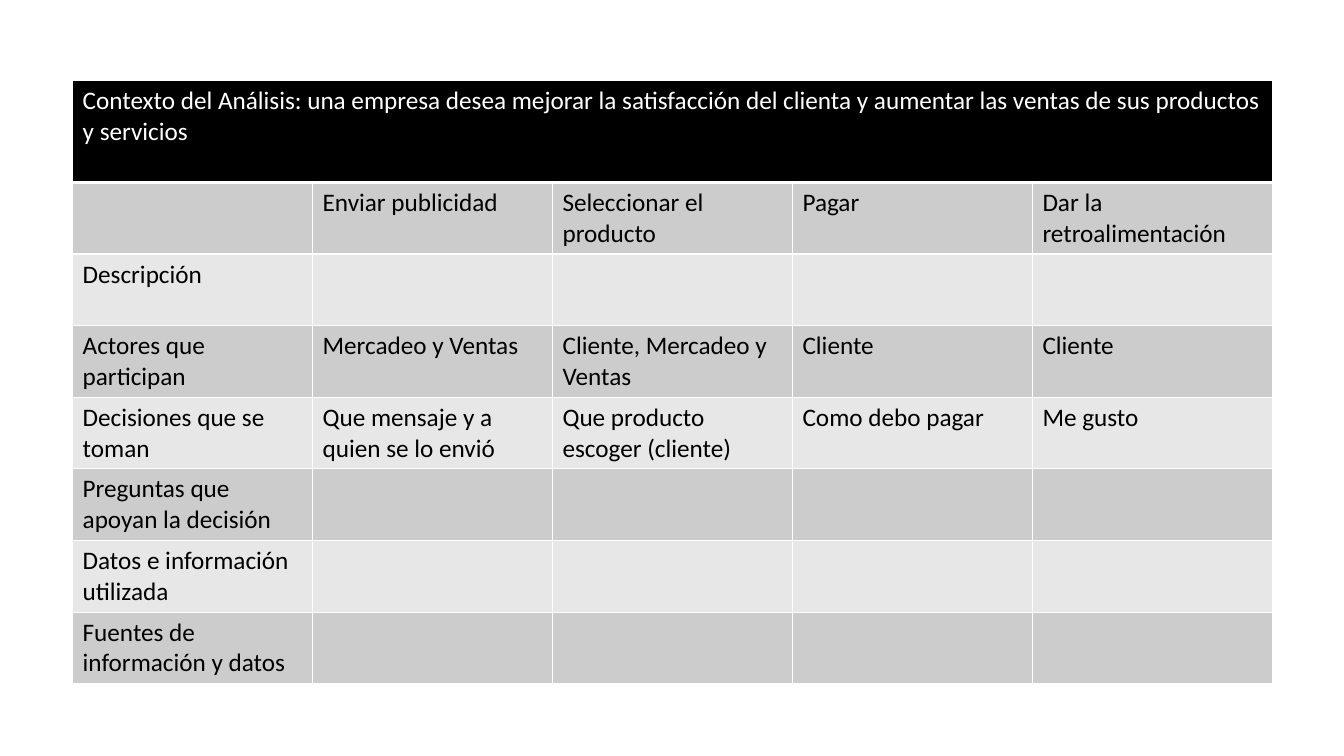
import dataclasses
import lxml.etree
import pptx
import pptx.dml.color
import pptx.oxml.ns
import pptx.table
import pptx.util

PX = 9144


@dataclasses.dataclass(frozen=True)
class Theme:
    head: str = "000000"
    dark: str = "CCCCCC"
    light: str = "E7E7E7"
    ink: str = "000000"
    white: str = "FFFFFF"
    font: str = "Calibri"
    size: int = 18
    thin: int = 1
    thick: int = 3


@dataclasses.dataclass(frozen=True)
class Row:
    texts: tuple[str, ...]
    fill: str
    ink: str
    high: int
    top: int
    base: int


THEME = Theme()
TITLE = ("Contexto del Análisis: una empresa desea mejorar la satisfacción "
         "del clienta y aumentar las ventas de sus productos y servicios")
BODY = (
    ("", "Enviar publicidad", "Seleccionar el producto", "Pagar", "Dar la retroalimentación"),
    ("Descripción",),
    ("Actores que participan", "Mercadeo y Ventas", "Cliente, Mercadeo y Ventas",
     "Cliente", "Cliente"),
    ("Decisiones que se toman", "Que mensaje y a quien se lo envió",
     "Que producto escoger (cliente)", "Como debo pagar", "Me gusto"),
    ("Preguntas que apoyan la decisión",),
    ("Datos e información utilizada",),
    ("Fuentes de información y datos",),
)
COLS = 5
LEFT, TOP, WIDE = 72, 80, 238
HIGH, TALL = 71, 101


def px(count: int) -> int:
    return pptx.util.Emu(count * PX)


def rgb(code: str) -> pptx.dml.color.RGBColor:
    return pptx.dml.color.RGBColor.from_string(code)


def edge(cell: pptx.table._Cell, side: str, width: int) -> None:
    name = pptx.oxml.ns.qn
    props = cell._tc.get_or_add_tcPr()
    line = lxml.etree.SubElement(props, name(f"a:ln{side}"), w=str(pptx.util.Pt(width)))
    fill = lxml.etree.SubElement(line, name("a:solidFill"))
    lxml.etree.SubElement(fill, name("a:srgbClr"), val=THEME.white)


def paint(cell: pptx.table._Cell, text: str, row: Row) -> None:
    for side, width in (("L", THEME.thin), ("R", THEME.thin),
                        ("T", row.top), ("B", row.base)):
        edge(cell, side, width)
    cell.fill.solid()
    cell.fill.fore_color.rgb = rgb(row.fill)
    cell.text = text
    font = cell.text_frame.paragraphs[0].font
    font.name = THEME.font
    font.size = pptx.util.Pt(THEME.size)
    font.bold = False
    font.color.rgb = rgb(row.ink)


def plan() -> list[Row]:
    rows = [Row((TITLE,), THEME.head, THEME.white, TALL, THEME.thin, THEME.thick)]
    for i, texts in enumerate(BODY):
        fill = THEME.light if i % 2 else THEME.dark
        top = THEME.thin if i else THEME.thick
        rows.append(Row(texts, fill, THEME.ink, HIGH, top, THEME.thin))
    return rows


def main() -> None:
    deck = pptx.Presentation()
    deck.slide_width = pptx.util.Inches(13.33)
    deck.slide_height = pptx.util.Inches(7.5)
    slide = deck.slides.add_slide(deck.slide_layouts[6])
    rows = plan()
    grid = slide.shapes.add_table(
        len(rows), COLS, px(LEFT), px(TOP), px(COLS * WIDE),
        px(sum(row.high for row in rows))).table
    for col in grid.columns:
        col.width = px(WIDE)
    for i, row in enumerate(rows):
        grid.rows[i].height = px(row.high)
        for j in range(COLS):
            text = row.texts[j] if j < len(row.texts) else ""
            paint(grid.cell(i, j), text, row)
    grid.cell(0, 0).merge(grid.cell(0, COLS - 1))
    deck.save("out.pptx")


if __name__ == "__main__":
    main()
